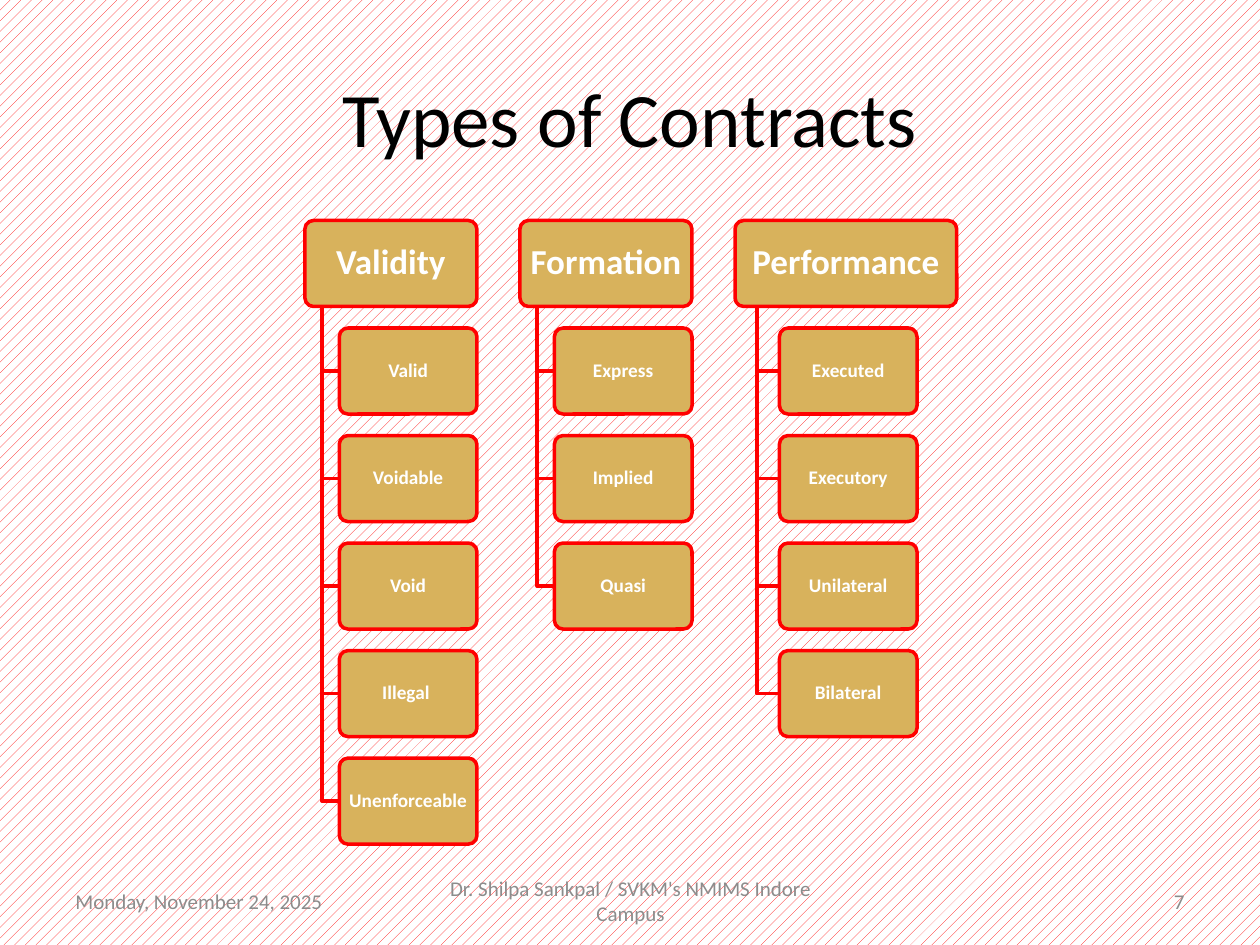
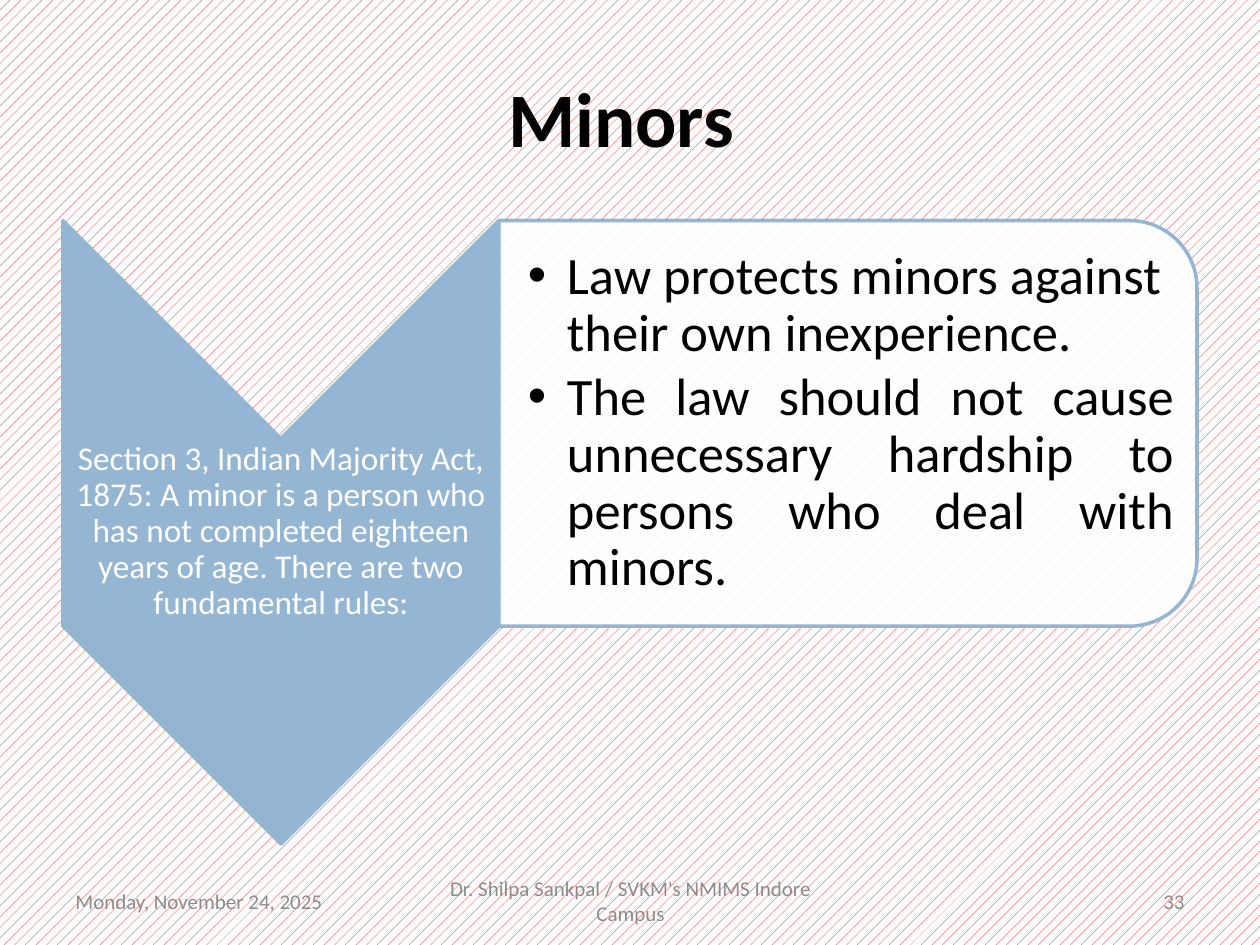
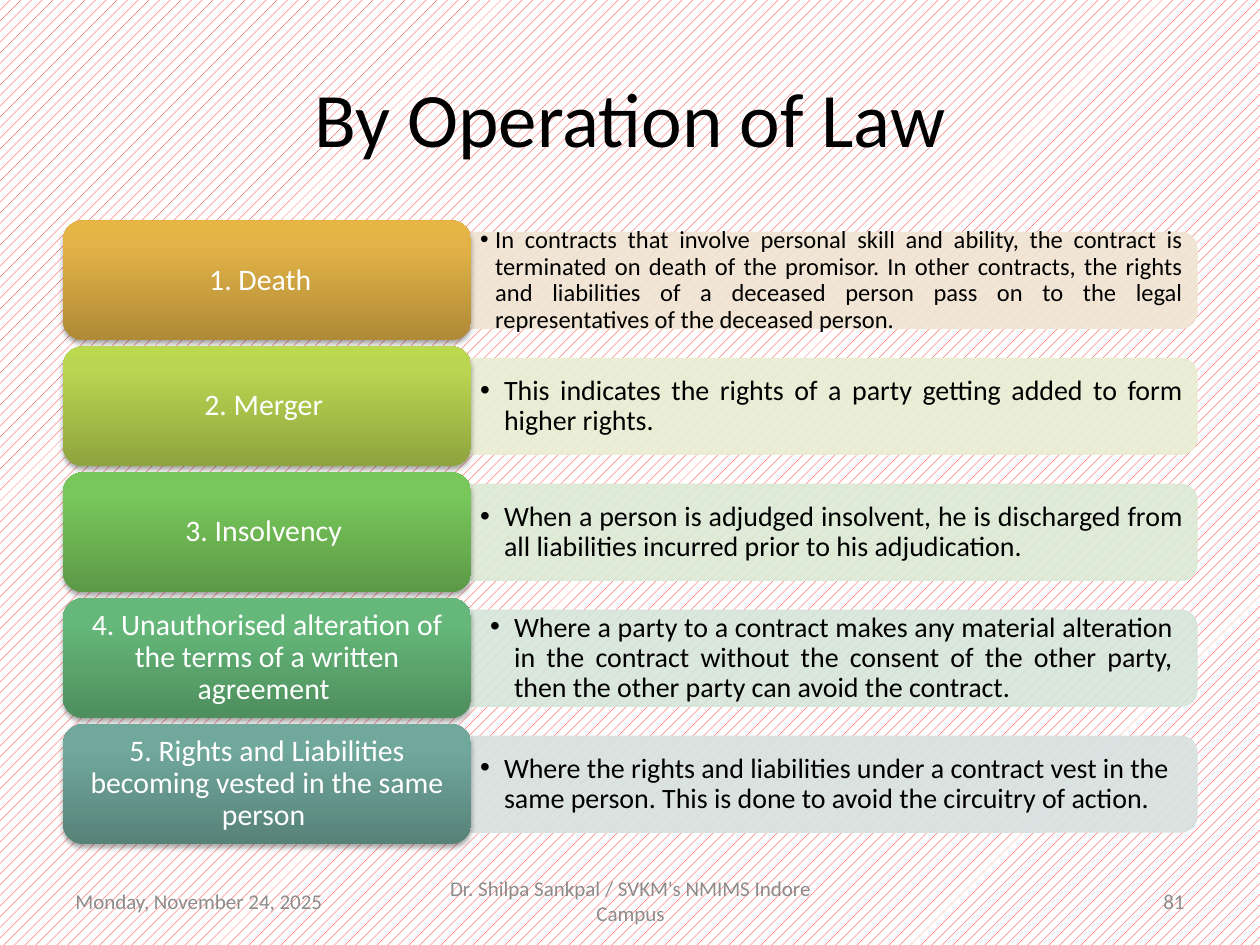
from lxml.etree import SubElement
from pptx import Presentation
from pptx.dml.color import RGBColor
from pptx.enum.dml import MSO_PATTERN
from pptx.enum.shapes import MSO_SHAPE as SHAPE
from pptx.enum.text import MSO_ANCHOR, PP_ALIGN as ALIGN
from pptx.oxml.ns import qn
from pptx.util import Inches, Pt

FONT = "Calibri"
BLACK = RGBColor(0x00, 0x00, 0x00)
WHITE = RGBColor(0xFF, 0xFF, 0xFF)
GRAY = RGBColor(0x8C, 0x8C, 0x8C)
RED = RGBColor(0xFF, 0x00, 0x00)
GOLD = RGBColor(0xD8, 0xB2, 0x5C)
BLUE = RGBColor(0x94, 0xB6, 0xD2)

DATE = "Monday, November 24, 2025"
AUTHOR = "Dr. Shilpa Sankpal / SVKM's NMIMS Indore Campus"

# Every diagram fills the same area below the title.
AREA_LEFT, AREA_TOP, AREA_WIDTH, AREA_HEIGHT = 0.5, 1.75, 9, 4.95

CONTRACT_TYPES = [
    ("Validity", ["Valid", "Voidable", "Void", "Illegal ", "Unenforceable"]),
    ("Formation", ["Express", "Implied", "Quasi"]),
    ("Performance", ["Executed", "Executory", "Unilateral", "Bilateral"]),
]

MINOR_DEFINITION = (
    "Section 3, Indian Majority Act, 1875: A minor is a person who has not "
    "completed eighteen years of age. There are two fundamental rules:")
MINOR_RULES = [
    ("Law protects minors against their own inexperience.", ALIGN.LEFT),
    ("The law should not cause unnecessary hardship to persons who deal with "
     "minors.", ALIGN.JUSTIFY),
]

# Heading, explanation, size, hanging indent, insets, alignment,
# gradient (bottom, at 80 %, top), panel colour
DISCHARGES = [
    ("1. Death  ",
     "In contracts that involve personal skill and ability, the contract is "
     "terminated on death of the promisor. In other contracts, the rights and "
     "liabilities of a deceased person pass on to the legal representatives of "
     "the deceased person.",
     14, 0.12, (0.07, 0.03), ALIGN.JUSTIFY, ("AF8A37", "E3B347", "E7B544"), "F0E4D2"),
    ("2. Merger ",
     "This indicates the rights of a party getting added to form higher rights.",
     16, 0.19, (0.07, 0.03), ALIGN.JUSTIFY, ("8FA43E", "B9D551", "BBD94E"), "E9EDD3"),
    ("3. Insolvency ",
     "When a person is adjudged insolvent, he is discharged from all liabilities "
     "incurred prior to his adjudication.",
     16, 0.19, (0.07, 0.03), ALIGN.JUSTIFY, ("5C9946", "78C75B", "77CA59"), "DBE9D4"),
    ("4. Unauthorised alteration of the terms of a written agreement ",
     "Where a party to a contract makes any material alteration in the contract "
     "without the consent of the other party, then the other party can avoid "
     "the contract.",
     16, 0.19, (0.15, 0.08), ALIGN.JUSTIFY, ("4E8E5E", "65B87A", "64BA7A"), "D5E5D9"),
    ("5. Rights and Liabilities becoming vested in the same person ",
     "Where the rights and liabilities under a contract vest in the same person. "
     "This is done to avoid the circuitry of action.",
     16, 0.19, (0.07, 0.03), ALIGN.LEFT, ("578278", "71A89C", "70AA9D"), "D7E1DF"),
]


def add_run(paragraph, text, size, color, bold=False):
    run = paragraph.add_run()
    run.text = text
    run.font.name, run.font.size, run.font.bold = FONT, Pt(size), bold
    run.font.color.rgb = color


def set_frame(frame, insets):
    """Wrap and centre vertically; insets are left, top, right, bottom."""
    frame.word_wrap = True
    frame.vertical_anchor = MSO_ANCHOR.MIDDLE
    (frame.margin_left, frame.margin_top,
     frame.margin_right, frame.margin_bottom) = map(Inches, insets)


def write_label(shape, text, size, color=WHITE, bold=False, align=ALIGN.CENTER,
                insets=(0.02,) * 4, spacing=0.9):
    set_frame(shape.text_frame, insets)
    paragraph = shape.text_frame.paragraphs[0]
    paragraph.alignment = align
    paragraph.line_spacing = spacing
    add_run(paragraph, text, size, color, bold)


def write_bullets(shape, items, size, hang, insets):
    """Write (text, alignment) pairs as a bulleted list."""
    frame = shape.text_frame
    set_frame(frame, insets)
    for number, (text, align) in enumerate(items):
        paragraph = frame.add_paragraph() if number else frame.paragraphs[0]
        properties = paragraph._p.get_or_add_pPr()
        properties.set("marL", str(Inches(hang)))
        properties.set("indent", str(-Inches(hang)))
        SubElement(properties, qn("a:buFont"), typeface="Arial")
        SubElement(properties, qn("a:buChar"), char="•")
        paragraph.alignment = align
        paragraph.line_spacing = 0.9
        paragraph.space_after = Pt(size * 0.15)
        add_run(paragraph, text, size, BLACK)


def add_textbox(slide, left, top, width, height):
    return slide.shapes.add_textbox(*map(Inches, (left, top, width, height)))


def add_plain_shape(slide, kind, left, top, width, height):
    shape = slide.shapes.add_shape(kind, *map(Inches, (left, top, width, height)))
    shape.shadow.inherit = False
    return shape


def paint(shape, fill, line, line_width):
    shape.fill.solid()
    shape.fill.fore_color.rgb = fill
    shape.line.color.rgb = line
    shape.line.width = Pt(line_width)


def add_turned_shape(slide, kind, left, top, width, height):
    """Add a shape turned by 90 degrees that covers the given box."""
    shift = (width - height) / 2
    shape = add_plain_shape(slide, kind, left + shift, top - shift, height, width)
    shape.rotation = 90
    return shape


def set_opacity(shape, percent, *parts):
    """Set the opacity of the fill and, on request, the line."""
    for part in parts:
        color = shape._element.spPr.find(f"{part}/{qn('a:srgbClr')}")
        SubElement(color, qn("a:alpha"), val=str(percent * 1000))


FILL = qn("a:solidFill")
LINE = f"{qn('a:ln')}/{FILL}"


def paint_glossy(shape, colors):
    """Vertical gradient from bottom to top with a soft shadow below."""
    shape.fill.gradient()
    shape.fill.gradient_angle = 90
    properties = shape._element.spPr
    stops = properties.find(f"{qn('a:gradFill')}/{qn('a:gsLst')}")
    for stop in list(stops):
        stops.remove(stop)
    for percent, color in zip((0, 80, 100), colors):
        stop = SubElement(stops, qn("a:gs"), pos=str(percent * 1000))
        SubElement(stop, qn("a:srgbClr"), val=color)
    shape.line.fill.background()
    shadow = SubElement(properties.find(qn("a:effectLst")), qn("a:outerShdw"),
                        blurRad=str(Pt(3.1)), dist=str(Pt(1.8)),
                        dir="5400000", rotWithShape="0")
    tint = SubElement(shadow, qn("a:srgbClr"), val="000000")
    SubElement(tint, qn("a:alpha"), val="35000")


def add_slide(prs, title, number, bold=False):
    slide = prs.slides.add_slide(prs.slide_layouts[5])
    heading = slide.shapes.title.text_frame.paragraphs[0]
    heading.alignment = ALIGN.CENTER
    add_run(heading, title, 44, BLACK, bold)
    for left, width, text, align in (
            (0.5, 2.33, DATE, ALIGN.LEFT),
            (3.42, 3.17, AUTHOR, ALIGN.CENTER),
            (7.17, 2.33, str(number), ALIGN.RIGHT)):
        write_label(add_textbox(slide, left, 6.95, width, 0.4), text, 12, GRAY,
                    align=align, insets=(0.1, 0.05, 0.1, 0.05), spacing=1.0)
    return slide


def add_node(slide, left, top, width, height, text, size):
    node = add_plain_shape(slide, SHAPE.ROUNDED_RECTANGLE, left, top, width, height)
    node.adjustments[0] = 0.1
    paint(node, GOLD, RED, 2)
    write_label(node, text, size, bold=True)


def add_branch(slide, left, top, right, bottom):
    """Draw an L-shaped line down from the parent and across to the child."""
    builder = slide.shapes.build_freeform(Inches(left), Inches(top))
    builder.add_line_segments([(Inches(left), Inches(bottom)),
                               (Inches(right), Inches(bottom))], close=False)
    branch = builder.convert_to_shape()
    branch.shadow.inherit = False
    branch.fill.background()
    branch.line.color.rgb = RED
    branch.line.width = Pt(2)


def add_hierarchy(slide):
    most_children = max(len(children) for _, children in CONTRACT_TYPES)
    height = AREA_HEIGHT / (1 + 1.25 * most_children)
    left = 2.42
    for parent, children in CONTRACT_TYPES:
        width = 1.76 if parent == "Performance" else 2 * height
        child_left = left + 0.2 * width
        add_node(slide, left, AREA_TOP, width, height, parent, 20)
        for row, child in enumerate(children, start=1):
            top = AREA_TOP + row * 1.25 * height
            add_branch(slide, left + 0.1 * width, AREA_TOP + height,
                       child_left, top + height / 2)
            add_node(slide, child_left, top, 1.6 * height, height, child, 11)
        left += width + height / 2


def add_minor_rules(slide):
    arrow_width, rules_height = 3.46, 3.22
    rules_left = AREA_LEFT + arrow_width
    arrow = add_turned_shape(slide, SHAPE.CHEVRON, AREA_LEFT, AREA_TOP,
                             arrow_width, AREA_HEIGHT)
    paint(arrow, BLUE, BLUE, 2)
    write_label(add_textbox(slide, AREA_LEFT, 3.48, arrow_width, 1.48),
                MINOR_DEFINITION, 19, insets=(0.01,) * 4)
    panel = add_turned_shape(slide, SHAPE.ROUND_2_SAME_RECTANGLE, rules_left,
                             AREA_TOP, AREA_WIDTH - arrow_width, rules_height)
    paint(panel, WHITE, BLUE, 2)
    set_opacity(panel, 90, FILL)
    write_bullets(add_textbox(slide, rules_left, AREA_TOP + 0.16, 5.38, 2.9),
                  MINOR_RULES, 30, 0.31, (0.23, 0.02, 0.02, 0.02))


def add_discharges(slide):
    gap_share = 0.05
    count = len(DISCHARGES)
    height = AREA_HEIGHT / (count + gap_share * (count - 1))
    heading_width = 0.36 * AREA_WIDTH
    panel_left = AREA_LEFT + heading_width
    for row, (heading, explanation, size, hang, (side, edge), align, gradient,
              tint) in enumerate(DISCHARGES):
        top = AREA_TOP + row * height * (1 + gap_share)
        panel = add_turned_shape(slide, SHAPE.ROUND_2_SAME_RECTANGLE, panel_left,
                                 top + 0.1 * height, AREA_WIDTH - heading_width,
                                 0.8 * height)
        color = RGBColor.from_string(tint)
        paint(panel, color, color, 0.75)
        set_opacity(panel, 90, FILL, LINE)
        write_bullets(add_textbox(slide, panel_left, top + 0.13, 5.72, 0.69),
                      [(explanation, align)], size, hang, (side, edge, side, edge))
        block = add_plain_shape(slide, SHAPE.ROUNDED_RECTANGLE, AREA_LEFT, top,
                                heading_width, height)
        paint_glossy(block, gradient)
        write_label(block, heading, 17, insets=(0.12, 0.09, 0.12, 0.09))


def main():
    prs = Presentation()
    prs.slide_width, prs.slide_height = Inches(10), Inches(7.5)
    backdrop = prs.slide_master.background.fill
    backdrop.patterned()
    backdrop.pattern = MSO_PATTERN.PERCENT_20
    backdrop.fore_color.rgb = RED
    backdrop.back_color.rgb = WHITE

    add_hierarchy(add_slide(prs, "Types of Contracts", 7))
    add_minor_rules(add_slide(prs, "Minors ", 33, bold=True))
    add_discharges(add_slide(prs, "By Operation of Law", 81))
    prs.save("out.pptx")


if __name__ == "__main__":
    main()
